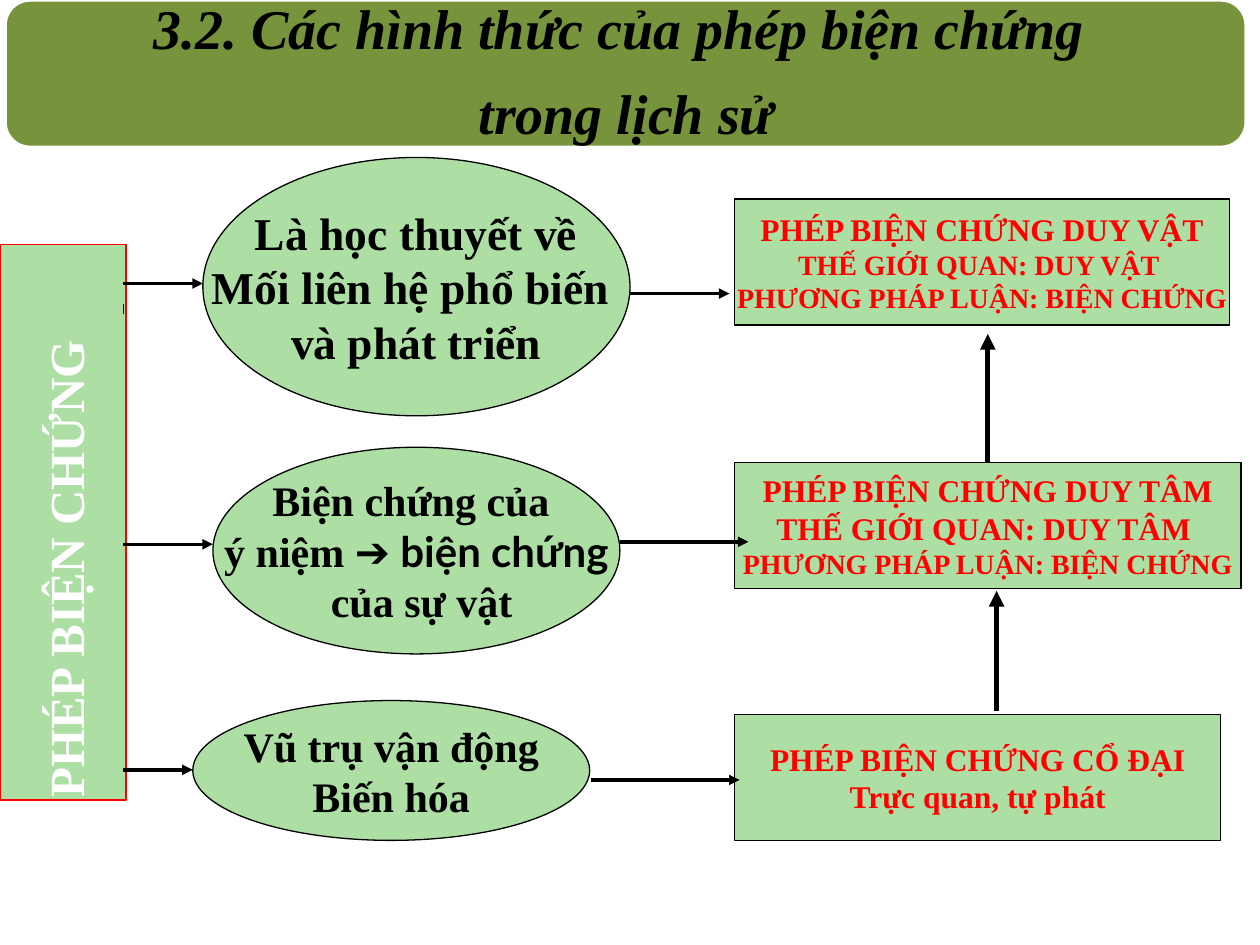
from pptx import Presentation
from pptx.dml.color import RGBColor
from pptx.enum.shapes import MSO_CONNECTOR as CONN, MSO_SHAPE as SHAPE
from pptx.enum.text import MSO_ANCHOR as ANCHOR, PP_ALIGN as ALIGN
from pptx.oxml.ns import qn
from pptx.util import Inches, Pt
from lxml import etree

COLORS = {"green": "ADDFA5", "olive": "77933C", "red": "FF0000",
          "black": "000000", "white": "FFFFFF"}
SERIF = "Times New Roman"


def rgb(name):
    return RGBColor.from_string(COLORS[name])


class Diagram:
    """Holds the shared style and the current slide."""

    def __init__(self, slide):
        self.shapes = slide.shapes
        self.base = {"name": SERIF, "bold": True}

    def fill_text(self, tf, lines, color, insets, wrap=False, para=None, **font):
        """Each line is a list of (text, font overrides) runs."""
        tf.word_wrap = wrap
        tf.vertical_anchor = ANCHOR.MIDDLE
        sides = ("left", "top", "right", "bottom")
        for side, inset in zip(sides, insets):
            setattr(tf, f"margin_{side}", Inches(inset))
        for i, runs in enumerate(lines):
            p = tf.paragraphs[0] if i == 0 else tf.add_paragraph()
            for key, value in {"alignment": ALIGN.CENTER, **(para or {})}.items():
                setattr(p, key, value)
            for text, extra in runs:
                r = p.add_run()
                r.text = text
                for key, value in {**self.base, **font, **extra}.items():
                    setattr(r.font, key, Pt(value) if key == "size" else value)
                r.font.color.rgb = rgb(color)

    def shape(self, kind, box, fill="green", line="black", width=0.75):
        sp = self.shapes.add_shape(kind, *map(Inches, box))
        sp.shadow.inherit = False
        sp.fill.solid()
        sp.fill.fore_color.rgb = rgb(fill)
        sp.line.color.rgb = rgb(line)
        sp.line.width = Pt(width)
        return sp

    def node(self, kind, box, lines, color, size):
        sp = self.shape(kind, box)
        self.fill_text(sp.text_frame, lines, color, (0.1, 0.05, 0.1, 0.05), size=size)

    def text(self, box, lines, color, insets, **style):
        sp = self.shapes.add_textbox(*map(Inches, box))
        self.fill_text(sp.text_frame, lines, color, insets, wrap=True, **style)
        return sp

    def line(self, x1, y1, x2, y2, width=2, arrow=True):
        cx = self.shapes.add_connector(CONN.STRAIGHT, *map(Inches, (x1, y1, x2, y2)))
        cx.line.color.rgb = rgb("black")
        cx.line.width = Pt(width)
        sp_pr = cx._element.spPr
        if arrow:
            etree.SubElement(sp_pr.find(qn("a:ln")), qn("a:tailEnd"), type="triangle")
        etree.SubElement(sp_pr, qn("a:effectLst"))


def main():
    prs = Presentation()
    prs.slide_width, prs.slide_height = Inches(10), Inches(7.5)
    d = Diagram(prs.slides.add_slide(prs.slide_layouts[6]))

    # Vertical bar on the left
    d.shape(SHAPE.RECTANGLE, (0, 1.94, 1, 4.41), line="red")

    # Historical forms: left edge and height are shared
    small = {"size": 16}
    method = [("PHƯƠNG PHÁP LUẬN: BIỆN CHỨNG", small)]
    forms = [
        (5.67, 3.86, [[("PHÉP BIỆN CHỨNG CỔ ĐẠI", {})],
                      [("Trực quan, tự phát", {})]]),
        (3.67, 4.02, [[("PHÉP BIỆN CHỨNG DUY TÂM", {})],
                      [("THẾ GIỚI QUAN: DUY TÂM ", {})], method]),
        (1.58, 3.93, [[("PHÉP BIỆN CHỨNG DUY VẬT", {})],
                      [("THẾ GIỚI QUAN: DUY VẬT ", small)], method]),
    ]
    for top, width, lines in forms:
        d.node(SHAPE.RECTANGLE, (5.83, top, width, 1), lines, "red", 18)

    # Descriptions in ellipses
    ideas = [
        ((1.53, 5.56, 3.15, 1.11), 24,
         [[("Vũ trụ vận động", {})], [("Biến hóa", {})]]),
        ((1.69, 3.55, 3.23, 1.64), 24,
         [[("Biện chứng của ", {})],
          [("ý niệm ", {}), ("➔", {"name": "Arial"}),
           (" biện chứng", {"name": "Lato"})],
          [(" của sự vật", {})]]),
        ((1.61, 1.25, 3.39, 2.05), 26,
         [[("Là học thuyết về", {})], [("Mối liên hệ phổ biến ", {})],
          [("và phát triển", {})]]),
    ]
    for box, size, lines in ideas:
        d.node(SHAPE.OVAL, box, lines, "black", size)

    # Bar label, read from bottom to top
    label = d.text((0.23, 1.71, 0.66, 5.08), [[("PHÉP BIỆN CHỨNG", {})]],
                   "white", (0.05, 0.46, 0.05, 0.1), size=28)
    label.rotation = 180
    label.text_frame.vertical_anchor = ANCHOR.TOP
    label._element.txBody.find(qn("a:bodyPr")).set("vert", "eaVert")

    # Arrows: bar to ellipses, then ellipses to forms
    d.line(0.98, 2.49, 0.98, 2.41, width=0.75, arrow=False)
    for x1, x2, y in [(0.98, 1.61, 2.25), (0.98, 1.69, 4.32), (0.98, 1.53, 6.11),
                      (5, 5.79, 2.33), (4.92, 5.94, 4.3), (4.69, 5.87, 6.19)]:
        d.line(x1, y, x2, y)

    # Upward arrows between forms
    for x, y1, y2 in [(7.91, 5.64, 4.69), (7.84, 3.67, 2.65)]:
        d.line(x, y1, x, y2, width=3)

    # Title banner
    banner = d.shape(SHAPE.ROUNDED_RECTANGLE, (0.04, 0, 9.85, 1.17),
                     "olive", "white", 2)
    banner.adjustments[0] = 0.17
    d.text((0.11, 0.06, 9.72, 1.05),
           [[("3.2. Các hình thức của phép biện chứng ", {})],
            [("trong lịch sử", {})]],
           "black", (0.24, 0, 0.24, 0), size=32, italic=True,
           para={"line_spacing": 0.9, "space_after": Pt(14)})

    prs.save("out.pptx")


if __name__ == "__main__":
    main()
